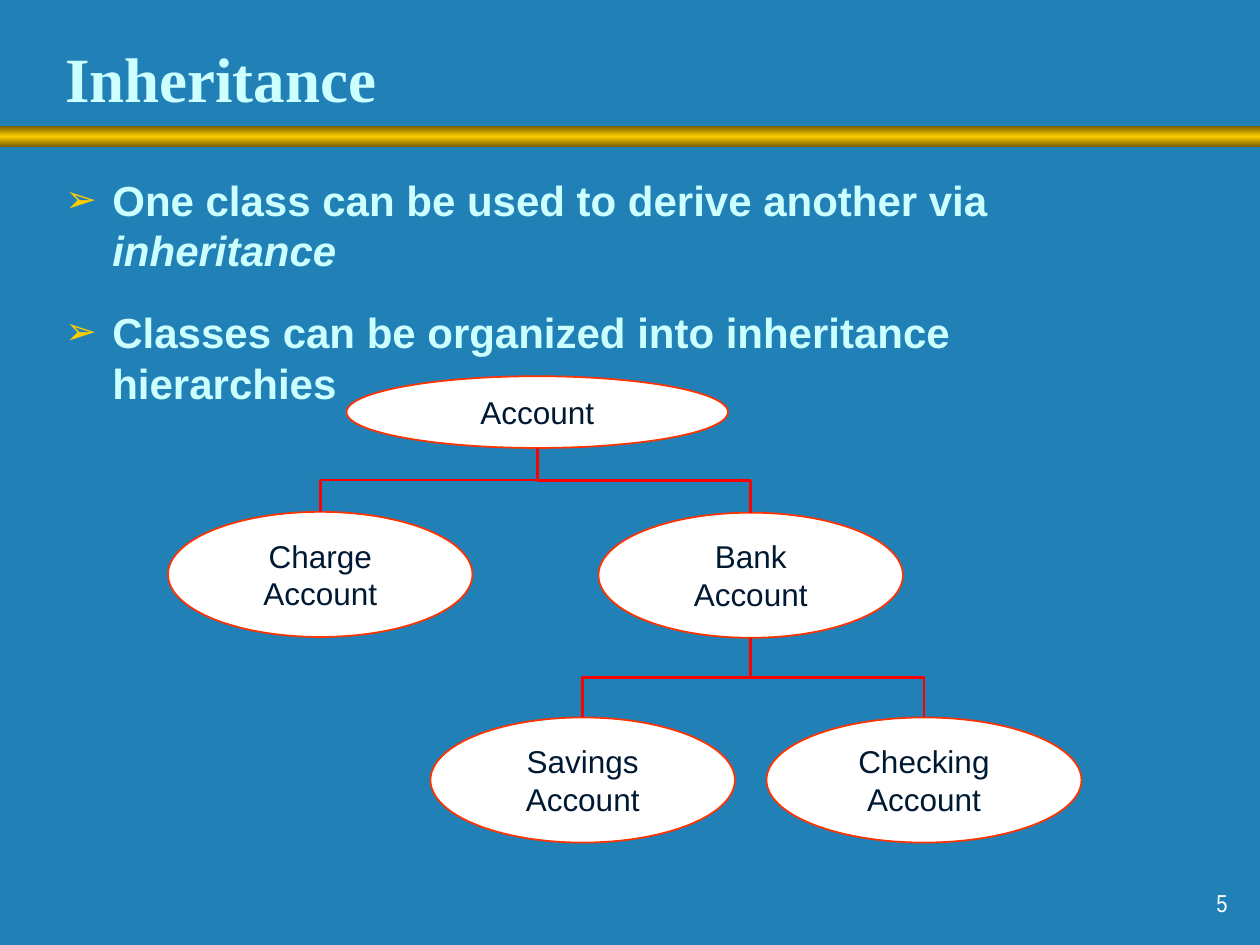
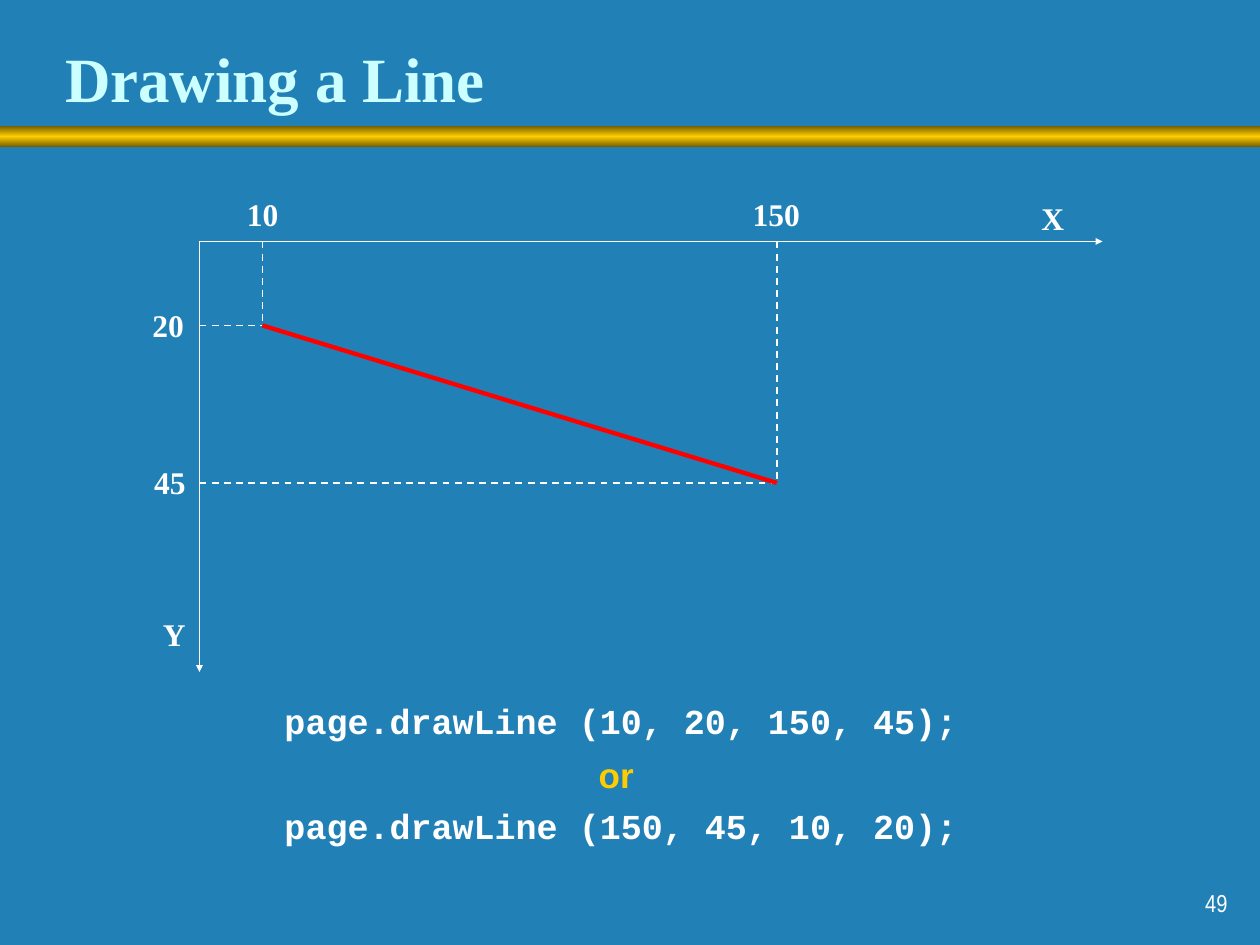
from copy import deepcopy

from lxml import etree
from pptx import Presentation
from pptx import util as u
from pptx.dml.color import RGBColor
from pptx.enum import dml, shapes, text
from pptx.oxml.ns import qn

Pt = u.Pt
COLORS = {
    "background": "2181B7", "gold": "FFCC00", "dark gold": "755E00",
    "pale": "CCFFFF", "white": "FFFFFF", "navy": "001932",
    "orange": "FF3300", "red": "FF0000",
}
C = {name: RGBColor.from_string(value) for name, value in COLORS.items()}


def write(sp, words, font, size, color, bold=False, align=text.PP_ALIGN.LEFT):
    """Fill a shape with text, one paragraph per line, in a single style."""
    tf = sp.text_frame
    tf.text = words
    for p in tf.paragraphs:
        p.alignment = align
        for r in p.runs:
            r.font.name, r.font.size, r.font.bold = font, Pt(size), bold
            r.font.color.rgb = C[color]
    return tf


def draw_line(s, start, end, color, width, kind=shapes.MSO_CONNECTOR.STRAIGHT):
    line = s.shapes.add_connector(kind, *[Pt(v) for v in (*start, *end)])
    line.line.color.rgb = C[color]
    line.line.width = Pt(width)
    etree.SubElement(line._element.spPr, qn("a:effectLst"))
    return line


prs = Presentation()
prs.slide_width, prs.slide_height = Pt(720), Pt(540)
master = prs.slide_master
master.background.fill.solid()
master.background.fill.fore_color.rgb = C["background"]

# Shared title and page number
slides = []
for title, number, layout in (("Inheritance", "5", 1), ("Drawing a Line", "49", 5)):
    s = prs.slides.add_slide(prs.slide_layouts[layout])
    slides.append(s)
    sp = s.shapes.title
    sp.left, sp.top, sp.width, sp.height = Pt(30), Pt(15.5), Pt(616), Pt(54)
    tf = write(sp, title, "Times New Roman", 36, "pale", True)
    tf.vertical_anchor = text.MSO_ANCHOR.BOTTOM
    tf.auto_size = text.MSO_AUTO_SIZE.NONE

    sp = s.shapes.add_textbox(Pt(558.5), Pt(492), Pt(150), Pt(36))
    tf = write(sp, number, "Arial Narrow", 14, "white", align=text.PP_ALIGN.RIGHT)
    tf.word_wrap = True
    tf.vertical_anchor = text.MSO_ANCHOR.BOTTOM
    tf.paragraphs[0].space_before = Pt(8.8)

# Gold band, moved to the master so that every slide has it
band = slides[0].shapes.add_shape(shapes.MSO_SHAPE.RECTANGLE, 0, Pt(72), Pt(720), Pt(12))
band.shadow.inherit = False
band.line.fill.background()
band.fill.gradient()
band.fill.gradient_angle = 90
stop_list = band._element.spPr.find(".//" + qn("a:gsLst"))
stop_list.insert(1, deepcopy(stop_list[0]))
for i, (stop, color) in enumerate(zip(band.fill.gradient_stops, ("dark gold", "gold", "dark gold"))):
    stop.position = i / 2
    stop.color.rgb = C[color]
master.shapes._spTree.insert(2, band._element)

# Slide 1: bullets and class hierarchy
s = slides[0]
body = s.placeholders[1]
body.left, body.top, body.width, body.height = Pt(30), Pt(96), Pt(654), Pt(386)
tf = write(body, "One class can be used to derive another via \n"
           "Classes can be organized into inheritance hierarchies", "Arial", 24, "pale", True)
tf.auto_size = text.MSO_AUTO_SIZE.NONE
r = tf.paragraphs[0].add_run()
r.text = "inheritance"
r.font.name, r.font.size, r.font.bold, r.font.italic = "Arial", Pt(24), True, True
r.font.color.rgb = C["pale"]
for p in tf.paragraphs:
    p.space_before = Pt(18)
    pPr = p._p.get_or_add_pPr()
    pPr.set("marL", str(Pt(27)))
    pPr.set("indent", str(-Pt(27)))
    bullet_color = etree.SubElement(pPr, qn("a:buClr"))
    etree.SubElement(bullet_color, qn("a:srgbClr"), val=COLORS["gold"])
    etree.SubElement(pPr, qn("a:buSzPct"), val="90000")
    etree.SubElement(pPr, qn("a:buFont"), typeface="Arial")
    etree.SubElement(pPr, qn("a:buChar"), char="➢")

# name: (centre x, top, width, height, parent)
classes = {
    "Account": (307, 215, 218, 41, None),
    "Charge Account": (183, 292.5, 174, 71.5, "Account"),
    "Bank Account": (429, 293, 174, 71.5, "Account"),
    "Savings Account": (333, 410, 174, 71.5, "Bank Account"),
    "Checking Account": (528, 410, 180, 71.5, "Bank Account"),
}
for name, (x, top, w, h, parent) in classes.items():
    sp = s.shapes.add_shape(shapes.MSO_SHAPE.OVAL, Pt(x - w / 2), Pt(top), Pt(w), Pt(h))
    sp.shadow.inherit = False
    sp.fill.solid()
    sp.fill.fore_color.rgb = C["white"]
    sp.line.color.rgb = C["orange"]
    sp.line.width = Pt(1)
    tf = write(sp, name, "Arial", 18, "navy", align=text.PP_ALIGN.CENTER)
    tf.word_wrap = True
    tf.vertical_anchor = text.MSO_ANCHOR.MIDDLE

for x, top, w, h, parent in classes.values():
    if parent is None:
        continue
    parent_x, parent_top, _, parent_h, _ = classes[parent]
    parent_bottom = parent_top + parent_h
    mid_x, mid_y = (x + parent_x) / 2, (top + parent_bottom) / 2
    # An elbow leaves sideways, so lay it out on its side and turn it upright
    side = 1 if x < parent_x else -1
    dx, dy = side * (top - parent_bottom) / 2, abs(x - parent_x) / 2
    link = draw_line(s, (mid_x + dx, mid_y + dy), (mid_x - dx, mid_y - dy),
                     "red", 1.5, shapes.MSO_CONNECTOR.ELBOW)
    link._element.spPr.find(qn("a:xfrm")).set("rot", str((90 if side == 1 else 270) * 60000))

# Slide 2: coordinate axes, guides and the drawn line
s = slides[1]
origin_x, origin_y = 114, 138
for end in ((630, origin_y), (origin_x, 384)):
    axis = draw_line(s, (origin_x, origin_y), end, "white", 1)
    etree.SubElement(axis.line._get_or_add_ln(), qn("a:tailEnd"),
                     type="triangle", w="sm", len="sm")

line_start, line_end = (150, 186), (444, 276)
for x, y in (line_start, line_end):
    for edge in ((x, origin_y), (origin_x, y)):
        guide = draw_line(s, edge, (x, y), "white", 1)
        guide.line.dash_style = dml.MSO_LINE.DASH
draw_line(s, line_start, line_end, "red", 2.5)

# Each box is a little wider than its words, so that none of them breaks
serif = ("Times New Roman", 18, "white")
code = ("Courier New", 20, "white")
labels = (
    ("X", 588, 110, 30, 29, serif),
    ("Y", 86, 348, 30, 29, serif),
    ("10", 134, 108, 36, 29, serif),
    ("150", 423, 108, 46, 29, serif),
    ("20", 80, 171.5, 36, 29, serif),
    ("45", 81, 261, 36, 29, serif),
    ("page.drawLine (10, 20, 150, 45);", 155.5, 396, 402, 31.5, code),
    ("or", 335, 427, 38, 31.5, ("Arial", 20, "gold")),
    ("page.drawLine (150, 45, 10, 20);", 155.5, 456, 402, 31.5, code),
)
for words, x, y, w, h, style in labels:
    sp = s.shapes.add_textbox(Pt(x), Pt(y), Pt(w), Pt(h))
    tf = write(sp, words, *style, bold=True)
    tf.word_wrap = False
    tf.auto_size = text.MSO_AUTO_SIZE.NONE

prs.save("out.pptx")
